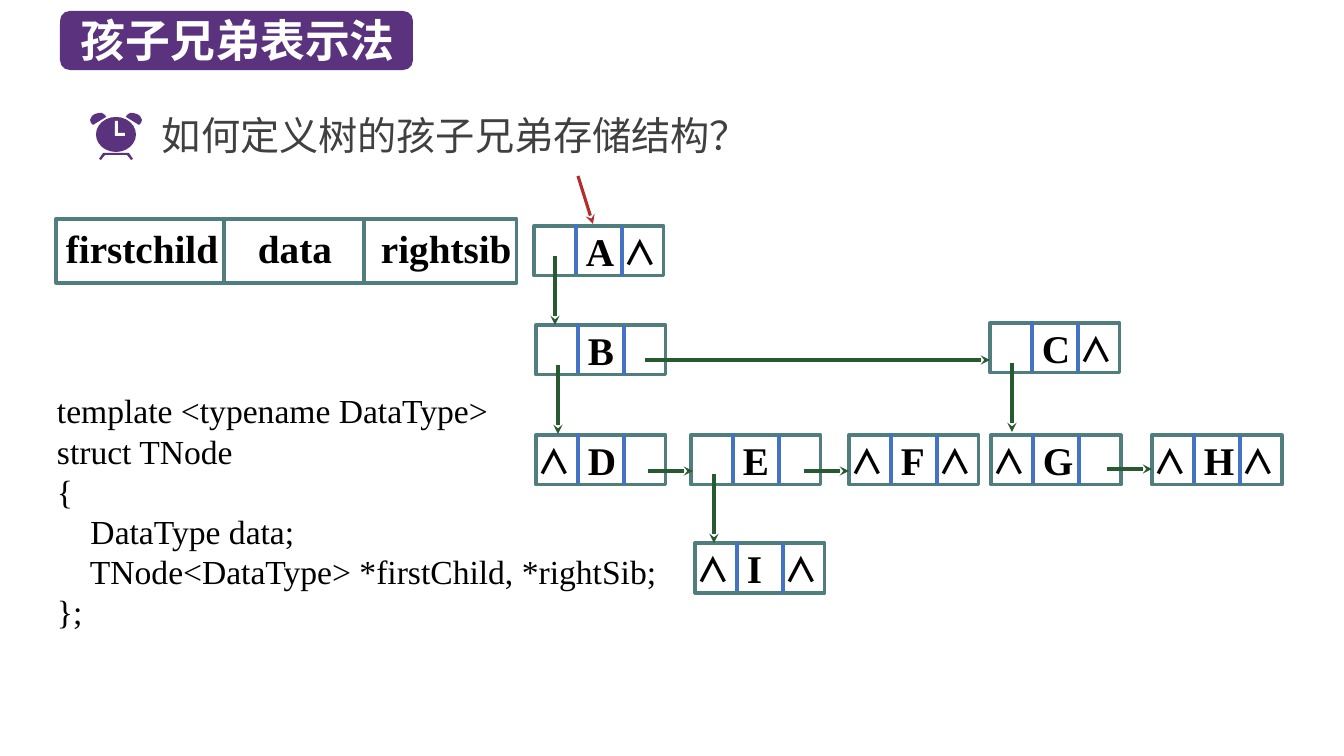
"""Build the slide on the child-sibling representation of a tree."""
from lxml import etree
from pptx import Presentation
from pptx import util as u
from pptx.dml.color import RGBColor
from pptx.enum import shapes, text
from pptx.oxml.ns import qn

PX = 914400 / 100.8
CJK, LATIN = "Noto Sans CJK SC", "Times New Roman"
PURPLE, TEAL, BLUE, GREEN, RED = "5A327D", "507D7D", "4472C4", "285A32", "B42D2D"
WHITE, BLACK, GREY = "FFFFFF", "000000", "404040"

HEADING = "孩子兄弟表示法"
QUESTION = "如何定义树的孩子兄弟存储结构？"
CODE = """template <typename DataType>
struct TNode
{
    DataType data;
    TNode<DataType> *firstChild, *rightSib;
};"""
FIELDS = ["firstchild", "data", "rightsib"]
FIELD_STOPS = [192, 315]
RECORD = (56, 219, 461, 64)
RECORD_DIVIDERS = [224, 364]

NODE_W, NODE_H = 130, 50
DIVIDERS = [(42, -2), (88, 0)]
NULL_OFFSET = {"child": 2, "sibling": 90}
NODES = [
    ("A", 534, 226, ["sibling"]),
    ("B", 536, 325, []),
    ("C", 990, 323, ["sibling"]),
    ("D", 536, 435, ["child"]),
    ("E", 691, 435, []),
    ("F", 849, 435, ["child", "sibling"]),
    ("G", 991, 435, ["child"]),
    ("H", 1152, 435, ["child", "sibling"]),
    ("I", 695, 543, ["child", "sibling"]),
]
CHILD_STARTS = [(555, 256), (558, 365), (1012, 363), (714, 474)]
CHILD_LENGTH = 69
SIBLING_LINKS = [(645, 360, 345), (648, 471, 45), (804, 471, 45), (1107, 469, 45)]
ROOT_LINK = (578, 176, 593, 224)

CLOCK_AXIS = 116
CLOCK_FACE = (96, 117, 40, 35)
CLOCK_BELL = [(99, 113), (95, 114), (92, 116), (90, 120), (91, 123),
              (93, 125), (106, 117), (105, 115), (102, 113)]
CLOCK_FEET = [(99, 159), (103, 153), (129, 153), (133, 159),
              (131, 160), (127, 155), (105, 155), (101, 160)]
CLOCK_HANDS = [(115, 121), (118, 121), (118, 133), (125, 133), (125, 136), (115, 136)]


def px(*lengths):
    return [round(length * PX) for length in lengths]


def rgb(value):
    return RGBColor.from_string(value)


def paint(shape, fill=None, line=None):
    shape.shadow.inherit = False
    if fill:
        shape.fill.solid()
        shape.fill.fore_color.rgb = rgb(fill)
    else:
        shape.fill.background()
    if line:
        shape.line.color.rgb = rgb(line)
        shape.line.width = u.Pt(2.25)
    else:
        shape.line.fill.background()


def add_preset(slide, kind, box, fill=None, line=None):
    shape = slide.shapes.add_shape(kind, *px(*box))
    paint(shape, fill, line)
    return shape


def add_outline(slide, points, fill):
    builder = slide.shapes.build_freeform(*points[0], scale=PX)
    builder.add_line_segments(points[1:])
    paint(builder.convert_to_shape(), fill)


def write(shape, words, size, font=LATIN, color=BLACK, bold=False,
          insets=(10, 5, 10, 5), anchor=text.MSO_ANCHOR.MIDDLE, spacing=None, stops=()):
    frame = shape.text_frame
    frame.text = words
    frame.word_wrap = True
    frame.auto_size = text.MSO_AUTO_SIZE.NONE
    frame.vertical_anchor = anchor
    frame.margin_left, frame.margin_top, frame.margin_right, frame.margin_bottom = px(*insets)
    for paragraph in frame.paragraphs:
        paragraph.alignment = text.PP_ALIGN.LEFT
        if spacing:
            paragraph.line_spacing = u.Pt(spacing)
        if stops:
            tabs = etree.SubElement(paragraph._p.get_or_add_pPr(), qn("a:tabLst"))
            for stop in px(*stops):
                etree.SubElement(tabs, qn("a:tab"), pos=str(stop), algn="l")
        for run in paragraph.runs:
            run.font.size = u.Pt(size)
            run.font.bold = bold
            run.font.color.rgb = rgb(color)
            run.font.name = font
            etree.SubElement(run.font._element, qn("a:ea"), typeface=font)


def add_text(slide, box, words, size, **style):
    write(slide.shapes.add_textbox(*px(*box)), words, size, **style)


def add_line(slide, ends, color, arrow=False):
    line = slide.shapes.add_connector(shapes.MSO_CONNECTOR.STRAIGHT, *px(*ends))
    line.line.color.rgb = rgb(color)
    line.line.width = u.Pt(2.25)
    if arrow:
        etree.SubElement(line.line._get_or_add_ln(), qn("a:tailEnd"), type="stealth")
    etree.SubElement(line._element.spPr, qn("a:effectLst"))


def add_heading(slide):
    banner = add_preset(slide, shapes.MSO_SHAPE.ROUNDED_RECTANGLE, (60, 11, 353, 59), PURPLE)
    title = slide.shapes.title
    title.left, title.top, title.width, title.height = px(71, 7, 341, 65)
    write(title, HEADING, 32, font=CJK, color=WHITE, bold=True)
    banner._element.addnext(title._element)


def add_clock(slide):
    mirrored_bell = [(2 * CLOCK_AXIS - x, y) for x, y in CLOCK_BELL]
    for outline in (CLOCK_FEET, CLOCK_BELL, mirrored_bell):
        add_outline(slide, outline, PURPLE)
    add_preset(slide, shapes.MSO_SHAPE.OVAL, CLOCK_FACE, PURPLE)
    add_outline(slide, CLOCK_HANDS, WHITE)


def add_record(slide):
    record = add_preset(slide, shapes.MSO_SHAPE.RECTANGLE, RECORD, line=TEAL)
    write(record, "\t".join(FIELDS), 28, bold=True, insets=(10, 5, 0, 1),
          anchor=text.MSO_ANCHOR.TOP, stops=FIELD_STOPS)
    top, height = RECORD[1], RECORD[3]
    for x in RECORD_DIVIDERS:
        add_line(slide, (x, top, x, top + height), TEAL)


def add_node(slide, letter, x, y, nulls):
    node = add_preset(slide, shapes.MSO_SHAPE.RECTANGLE, (x, y, NODE_W, NODE_H), line=TEAL)
    write(node, letter, 28, bold=True, insets=(52, 0, 10, 0))
    for dx, dy in DIVIDERS:
        add_line(slide, (x + dx, y + dy, x + dx, y + dy + NODE_H), BLUE)
    for pointer in nulls:
        add_text(slide, (x + NULL_OFFSET[pointer], y + 6, 40, 40), "∧", 24,
                 font=CJK, bold=True, insets=(0, 0, 0, 0))


def main():
    deck = Presentation()
    deck.slide_width, deck.slide_height = px(1344, 756)
    slide = deck.slides.add_slide(deck.slide_layouts[5])
    add_heading(slide)
    for node in NODES:
        add_node(slide, *node)
    for x, y in CHILD_STARTS:
        add_line(slide, (x, y, x, y + CHILD_LENGTH), GREEN, arrow=True)
    for x, y, length in SIBLING_LINKS:
        add_line(slide, (x, y, x + length, y), GREEN, arrow=True)
    add_line(slide, ROOT_LINK, RED, arrow=True)
    add_text(slide, (152, 106, 796, 57), QUESTION, 28, font=CJK, color=GREY)
    add_clock(slide)
    add_record(slide)
    add_text(slide, (47, 384, 801, 254), CODE, 24, spacing=28.7)
    deck.save("out.pptx")


if __name__ == "__main__":
    main()
